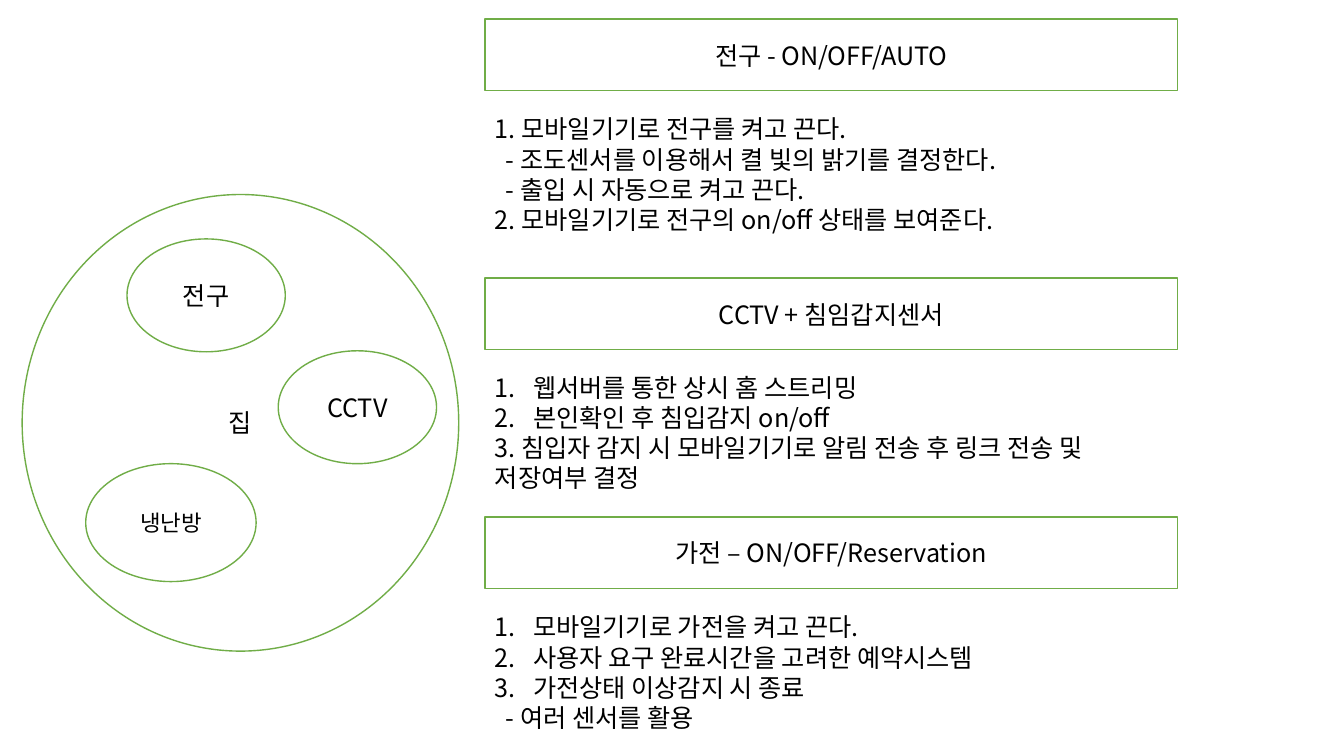
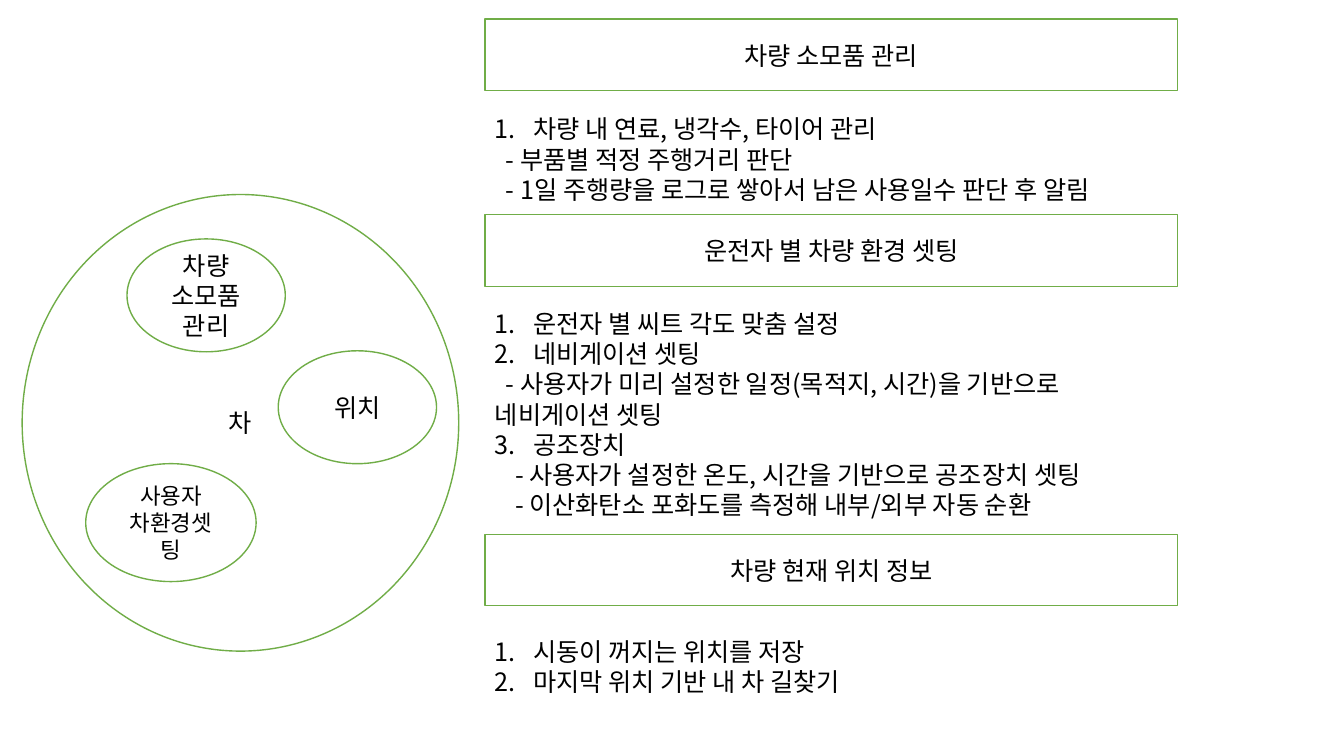
import pptx
import pptx.util
from lxml import etree
from pptx.dml.color import RGBColor
from pptx.enum.shapes import MSO_SHAPE
from pptx.enum.text import MSO_ANCHOR, PP_ALIGN
from pptx.oxml.ns import qn
from pptx.util import Inches

GREEN = RGBColor(0x70, 0xAD, 0x47)
WHITE = RGBColor(0xFF, 0xFF, 0xFF)
BLACK = RGBColor(0x00, 0x00, 0x00)
FONT = "Noto Sans CJK KR"
LINE_RATIO = 1.2
BODY_SIZE = 18
COLUMN_LEFT, COLUMN_WIDTH, HEADING_HEIGHT = 4.81, 6.87, 0.71

# Left, top, width, height and text size of the outer circle and its items
OVALS = [
    (0.22, 1.93, 4.33, 4.53, 18),
    (1.26, 2.37, 1.57, 1.12, 18),
    (2.76, 3.48, 1.57, 1.12, 18),
    (0.85, 4.60, 1.69, 1.17, 16),
]

# Left margin and first-line indent of each kind of note
INDENTS = {
    "plain": (0, 0),
    "number": (0.38, -0.38),
    "dash": (0, 0.11),
    "deep dash": (0, 0.2),
}

# Each section: heading top, heading, notes top, notes width, notes
SLIDES = [
    {
        "ovals": ["집", "전구", "CCTV", "냉난방"],
        "sections": [
            (0.19, "전구 - ON/OFF/AUTO", 1.08, COLUMN_WIDTH, [
                ("plain", "1. 모바일기기로 전구를 켜고 끈다."),
                ("dash", "- 조도센서를 이용해서 켤 빛의 밝기를 결정한다."),
                ("dash", "- 출입 시 자동으로 켜고 끈다."),
                ("plain", "2. 모바일기기로 전구의 on/off 상태를 보여준다."),
            ]),
            (2.76, "CCTV + 침임갑지센서", 3.64, COLUMN_WIDTH, [
                ("number", "웹서버를 통한 상시 홈 스트리밍"),
                ("number", "본인확인 후 침입감지 on/off"),
                ("plain", "3. 침입자 감지 시 모바일기기로 알림 전송 후 링크 전송 및 저장여부 결정"),
            ]),
            (5.13, "가전 – ON/OFF/Reservation", 6.02, COLUMN_WIDTH, [
                ("number", "모바일기기로 가전을 켜고 끈다."),
                ("number", "사용자 요구 완료시간을 고려한 예약시스템"),
                ("number", "가전상태 이상감지 시 종료"),
                ("dash", "- 여러 센서를 활용"),
            ]),
        ],
    },
    {
        "ovals": ["차", "차량 소모품 관리", "위치", "사용자 차환경셋팅"],
        "sections": [
            (0.19, "차량 소모품 관리", 1.08, 7.01, [
                ("number", "차량 내 연료, 냉각수, 타이어 관리"),
                ("dash", "- 부품별 적정 주행거리 판단"),
                ("dash", "- 1일 주행량을 로그로 쌓아서 남은 사용일수 판단 후 알림"),
            ]),
            (2.13, "운전자 별 차량 환경 셋팅", 3.01, COLUMN_WIDTH, [
                ("number", "운전자 별 씨트 각도 맞춤 설정"),
                ("number", "네비게이션 셋팅"),
                ("dash", "- 사용자가 미리 설정한 일정(목적지, 시간)을 기반으로 네비게이션 셋팅"),
                ("number", "공조장치"),
                ("deep dash", "- 사용자가 설정한 온도, 시간을 기반으로 공조장치 셋팅"),
                ("deep dash", "- 이산화탄소 포화도를 측정해 내부/외부 자동 순환"),
            ]),
            (5.30, "차량 현재 위치 정보", 6.26, COLUMN_WIDTH, [
                ("number", "시동이 꺼지는 위치를 저장"),
                ("number", "마지막 위치 기반 내 차 길찾기"),
            ]),
        ],
    },
]


def write(para, text, size):
    """Fill one paragraph, using the same font for Latin and Korean."""
    para.text = text
    para.line_spacing = pptx.util.Pt(size * LINE_RATIO)
    for span in para.runs:
        span.font.name = FONT
        span.font.size = pptx.util.Pt(size)
        span.font.color.rgb = BLACK
        latin = span.font._element.find(qn("a:latin"))
        east_asian = etree.Element(qn("a:ea"), typeface=FONT)
        latin.addnext(east_asian)


def add_outlined(slide, kind, left, top, width, height, text, size):
    """Add a white, green-edged shape with centred text."""
    shape = slide.shapes.add_shape(
        kind, Inches(left), Inches(top), Inches(width), Inches(height))
    shape.shadow.inherit = False
    shape.fill.solid()
    shape.fill.fore_color.rgb = WHITE
    shape.line.color.rgb = GREEN
    shape.line.width = pptx.util.Pt(1)
    shape.text_frame.word_wrap = True
    shape.text_frame.vertical_anchor = MSO_ANCHOR.MIDDLE
    para = shape.text_frame.paragraphs[0]
    write(para, text, size)
    para.alignment = PP_ALIGN.CENTER


deck = pptx.Presentation()
deck.slide_width = Inches(13.33)
deck.slide_height = Inches(7.5)

for content in SLIDES:
    slide = deck.slides.add_slide(deck.slide_layouts[6])
    for (left, top, width, height, size), label in zip(OVALS, content["ovals"]):
        add_outlined(slide, MSO_SHAPE.OVAL, left, top, width, height, label, size)

    for heading_top, heading, notes_top, notes_width, notes in content["sections"]:
        add_outlined(slide, MSO_SHAPE.RECTANGLE, COLUMN_LEFT, heading_top,
                     COLUMN_WIDTH, HEADING_HEIGHT, heading, BODY_SIZE)

        notes_height = len(notes) * BODY_SIZE * LINE_RATIO / 72 + 0.1
        box = slide.shapes.add_textbox(
            Inches(COLUMN_LEFT), Inches(notes_top),
            Inches(notes_width), Inches(notes_height))
        frame = box.text_frame
        frame.word_wrap = True
        number = 0
        previous = None
        for index, (kind, text) in enumerate(notes):
            para = frame.add_paragraph() if index else frame.paragraphs[0]
            write(para, text, BODY_SIZE)
            properties = para._p.get_or_add_pPr()
            margin, indent = INDENTS[kind]
            properties.set("marL", str(Inches(margin)))
            properties.set("indent", str(Inches(indent)))
            if kind == "number":
                number += 1
                bullet = etree.SubElement(
                    properties, qn("a:buAutoNum"), type="arabicPeriod")
                # An interrupted list picks up its count again
                if number > 1 and previous != "number":
                    bullet.set("startAt", str(number))
            previous = kind

deck.save("out.pptx")
